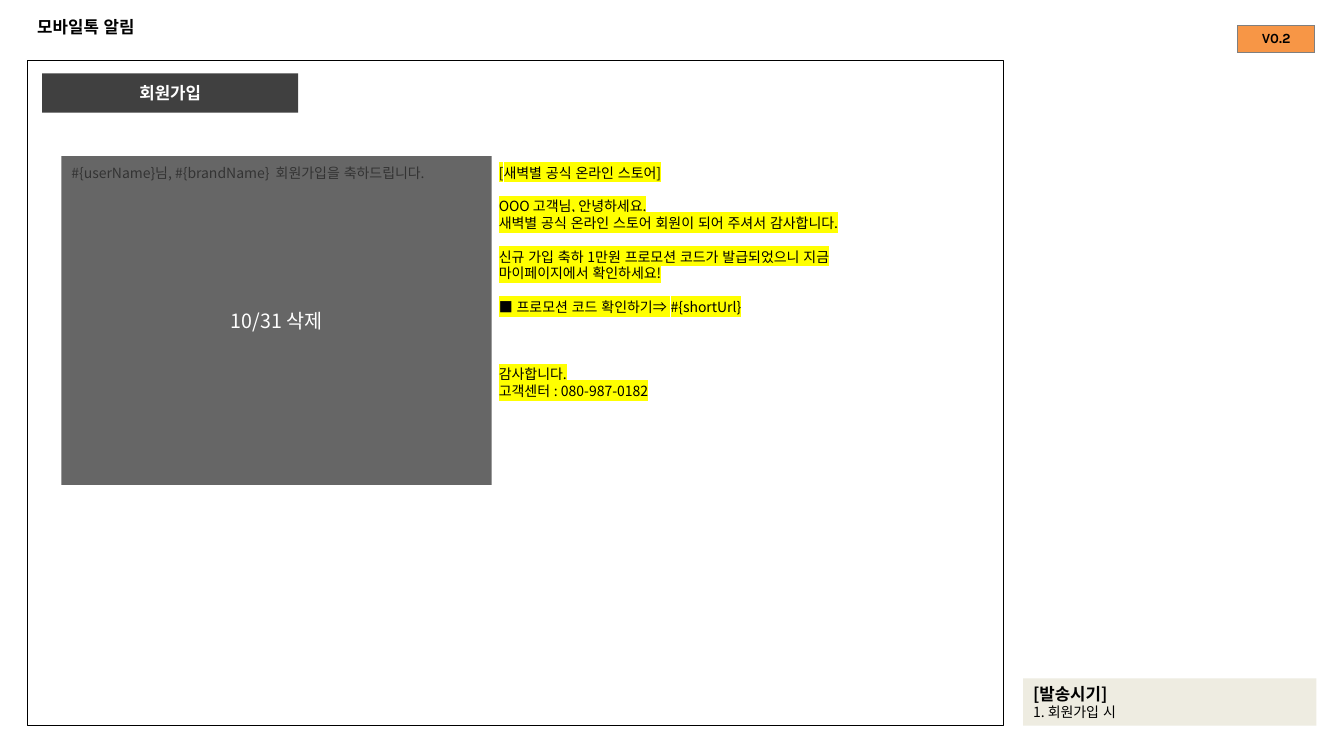
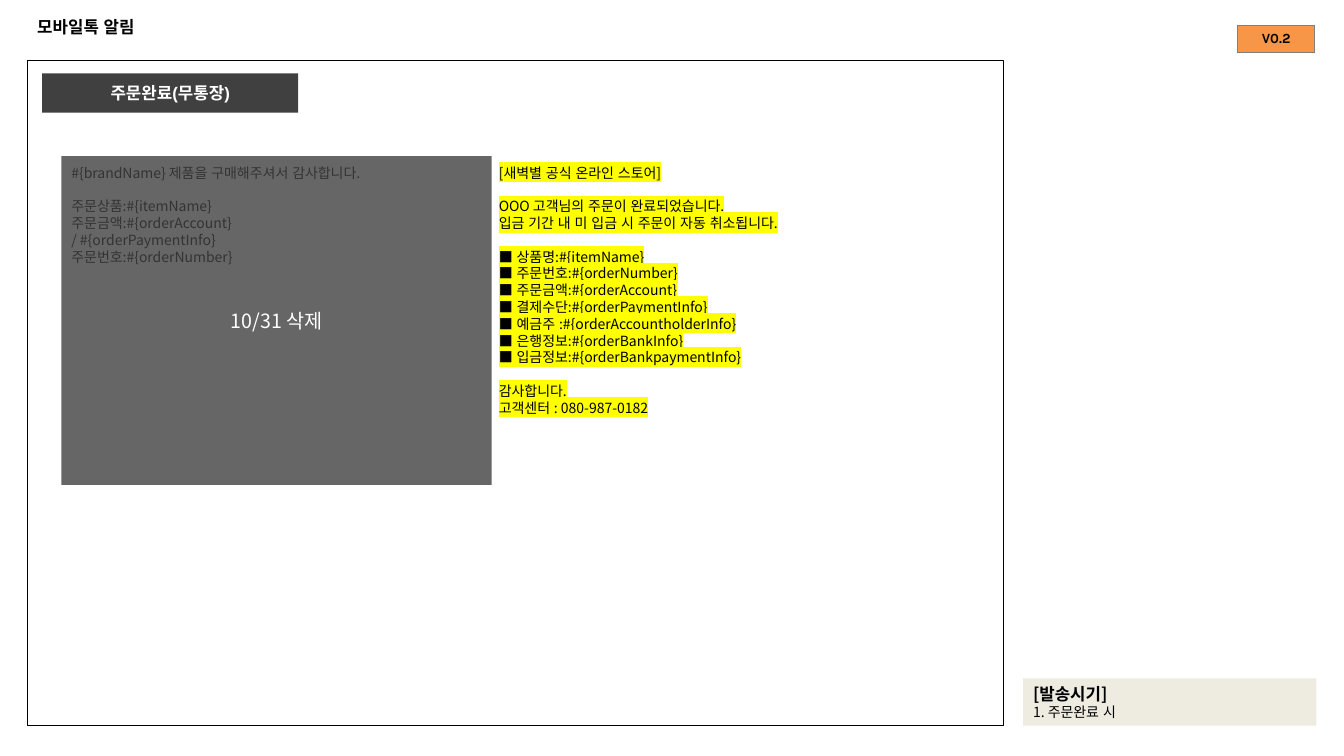
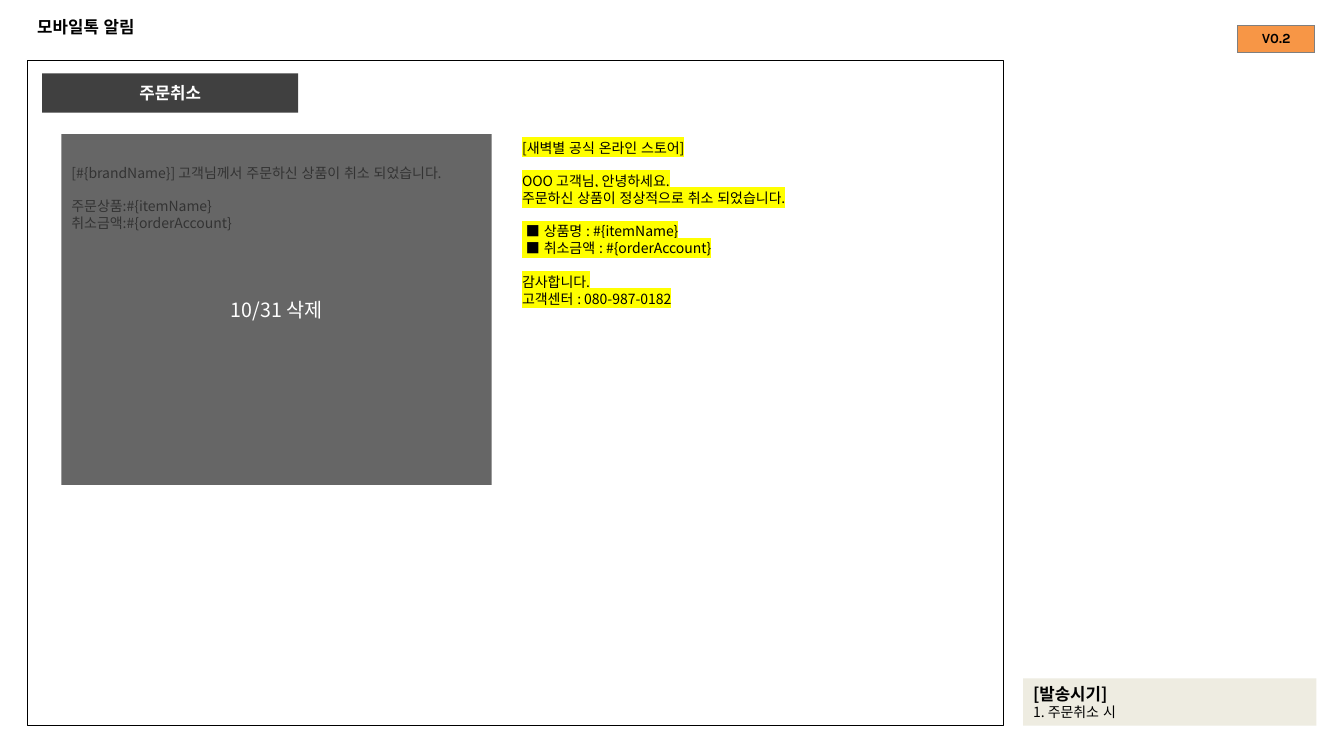
import collections
import dataclasses

import lxml.etree
import pptx
import pptx.dml.color
import pptx.enum.lang
import pptx.enum.shapes
import pptx.enum.text
import pptx.oxml.ns
import pptx.util

Pt = pptx.util.Pt
qualify = pptx.oxml.ns.qn
ALIGN = pptx.enum.text.PP_ALIGN
ANCHOR = pptx.enum.text.MSO_ANCHOR
RECTANGLE = pptx.enum.shapes.MSO_SHAPE.RECTANGLE

Box = collections.namedtuple("Box", "left top width height")


@dataclasses.dataclass(frozen=True)
class Theme:
    ink: str = "000000"
    paper: str = "FFFFFF"
    dark: str = "404040"
    note: str = "EEECE1"
    badge: str = "F79646"
    badge_border: str = "7F7F7F"
    marker: str = "FFFF00"
    heading_font: str = "Arial"
    body_font: str = "Noto Sans CJK KR"
    badge_font: str = "Karla"
    heading_size: int = 12
    body_size: int = 10
    stamp_size: int = 14
    line_factor: float = 1.2
    veil_opacity: int = 80
    inset: float = 3.6


THEME = Theme()
LINE = THEME.body_size * THEME.line_factor

HEADING = {"size": THEME.heading_size, "name": THEME.heading_font, "bold": True}
BODY = {"size": THEME.body_size, "name": THEME.body_font, "bold": False}
STAMP = {**BODY, "size": THEME.stamp_size}
NOTE_HEADING = {**HEADING, "name": THEME.body_font}
BADGE = {"size": THEME.body_size, "name": THEME.badge_font, "bold": True}

SLIDE_WIDTH, SLIDE_HEIGHT = 960, 540
TITLE_BOX = Box(19.4, 5, 921, 28)
FRAME_BOX = Box(19.4, 43.2, 697.7, 475.2)
BADGE_BOX = Box(884.2, 18.4, 54.7, 19.4)
NOTE_BOX = Box(730.8, 484.6, 209.5, 33.8)
MESSAGE_WIDTH = 296.6

TITLE = "모바일톡 알림"
STORE = "[새벽별 공식 온라인 스토어]"
CLOSING = ("감사합니다.", "고객센터 : 080-987-0182")


@dataclasses.dataclass(frozen=True)
class Notice:
    """One alert: draft and message hold groups of lines with a gap between them."""
    heading: str
    timing: str
    draft: tuple
    message: tuple
    closing_gap: int = 1
    veil: Box = Box(24.5, 68.4, 307.4, 234.7)
    message_at: tuple = (329.8, 70.6)


NOTICES = (
    Notice(
        heading="회원가입",
        timing="1. 회원가입 시",
        draft=(("#{userName}님, #{brandName}  회원가입을 축하드립니다.",),),
        message=(
            ("OOO 고객님, 안녕하세요.",
             "새벽별 공식 온라인 스토어 회원이 되어 주셔서 감사합니다."),
            ("신규 가입 축하 1만원 프로모션 코드가 발급되었으니 지금 마이페이지에서 확인하세요!",),
            ("■ 프로모션 코드 확인하기⇒ #{shortUrl}",),
        ),
        closing_gap=3,
    ),
    Notice(
        heading="주문완료(무통장)",
        timing="1. 주문완료 시",
        draft=(
            ("#{brandName} 제품을 구매해주셔서 감사합니다.",),
            ("주문상품:#{itemName}", "주문금액:#{orderAccount}",
             "/ #{orderPaymentInfo}", "주문번호:#{orderNumber}"),
        ),
        message=(
            ("OOO 고객님의 주문이 완료되었습니다.",
             "입금 기간 내 미 입금 시 주문이 자동 취소됩니다."),
            ("■ 상품명:#{itemName}", "■ 주문번호:#{orderNumber}",
             "■ 주문금액:#{orderAccount}", "■ 결제수단:#{orderPaymentInfo}",
             "■ 예금주 :#{orderAccountholderInfo}", "■ 은행정보:#{orderBankInfo}",
             "■ 입금정보:#{orderBankpaymentInfo}"),
        ),
    ),
    Notice(
        heading="주문취소",
        timing="1. 주문취소 시",
        draft=(
            ("[#{brandName}] 고객님께서 주문하신 상품이 취소 되었습니다.",),
            ("주문상품:#{itemName}", "취소금액:#{orderAccount}"),
        ),
        message=(
            ("OOO 고객님, 안녕하세요.", "주문하신 상품이 정상적으로 취소 되었습니다."),
            (" ■ 상품명 : #{itemName}", " ■ 취소금액 : #{orderAccount}"),
        ),
        veil=Box(24.5, 52.6, 307.4, 250.5),
        message_at=(346.4, 52.6),
    ),
)


def rgb(value):
    return pptx.dml.color.RGBColor.from_string(value)


def in_points(box):
    return [Pt(length) for length in box]


def inside(parent, left, top, width, height):
    return Box(parent.left + left, parent.top + top, width, height)


def add_color(parent, tag, color):
    element = lxml.etree.SubElement(parent, qualify(tag))
    lxml.etree.SubElement(element, qualify("a:srgbClr"), val=color)
    return element


def write(paragraph, text, style, color=THEME.ink, align=ALIGN.LEFT, marker=None):
    paragraph.alignment = align
    run = paragraph.add_run()
    run.text = text
    for name, value in style.items():
        setattr(run.font, name, Pt(value) if name == "size" else value)
    run.font.language_id = pptx.enum.lang.MSO_LANGUAGE_ID.KOREAN
    run.font.color.rgb = rgb(color)
    properties = run.font._element
    latin = properties.find(qualify("a:latin"))
    east_asian = lxml.etree.Element(qualify("a:ea"), typeface=THEME.body_font)
    latin.addnext(east_asian)
    if marker:
        latin.addprevious(add_color(properties, "a:highlight", marker))


def format_frame(text_frame, anchor=ANCHOR.TOP):
    settings = {
        "word_wrap": True,
        "auto_size": pptx.enum.text.MSO_AUTO_SIZE.NONE,
        "vertical_anchor": anchor,
        "margin_left": Pt(7.2), "margin_right": Pt(7.2),
        "margin_top": Pt(THEME.inset), "margin_bottom": Pt(THEME.inset),
    }
    for name, value in settings.items():
        setattr(text_frame, name, value)


def next_paragraph(text_frame):
    first = text_frame.paragraphs[0]
    return text_frame.add_paragraph() if first.runs else first


def add_rectangle(slide, box, fill=None, line=None):
    shape = slide.shapes.add_shape(RECTANGLE, *in_points(box))
    shape.shadow.inherit = False
    if fill:
        shape.fill.solid()
        shape.fill.fore_color.rgb = rgb(fill)
    else:
        shape.fill.background()
    if line:
        shape.line.color.rgb = rgb(line)
        shape.line.width = Pt(0.75)
    else:
        shape.line.fill.background()
    return shape


def add_label(slide, box, text, style):
    """Dark rectangle with centred light text."""
    shape = add_rectangle(slide, box, THEME.dark)
    format_frame(shape.text_frame, ANCHOR.MIDDLE)
    write(shape.text_frame.paragraphs[0], text, style, THEME.paper, ALIGN.CENTER)
    return shape


def add_message(slide, box, groups, gaps, marker=None):
    """Write groups of lines; gaps gives the empty lines above each group."""
    text_frame = slide.shapes.add_textbox(*in_points(box)).text_frame
    format_frame(text_frame)
    for group, gap in zip(groups, gaps):
        for index, line in enumerate(group):
            paragraph = next_paragraph(text_frame)
            paragraph.line_spacing = Pt(LINE)
            paragraph.space_before = Pt(0 if index else gap * LINE)
            write(paragraph, line, BODY, marker=marker)


def message_height(groups, gaps):
    return LINE * (sum(map(len, groups)) + sum(gaps)) + 2 * THEME.inset


def add_title(slide):
    title = slide.shapes.title
    for name, value in zip(TITLE_BOX._fields, in_points(TITLE_BOX)):
        setattr(title, name, value)
    format_frame(title.text_frame, ANCHOR.MIDDLE)
    write(title.text_frame.paragraphs[0], TITLE, HEADING)


def add_version_badge(slide, box):
    table = slide.shapes.add_table(1, 1, *in_points(box)).table
    table.first_row = table.horz_banding = False
    cell = table.cell(0, 0)
    for side in ("left", "right", "top", "bottom"):
        setattr(cell, "margin_" + side, 0)
    cell.vertical_anchor = ANCHOR.MIDDLE
    cell.fill.solid()
    cell.fill.fore_color.rgb = rgb(THEME.badge)
    write(cell.text_frame.paragraphs[0], "V0.2", BADGE, align=ALIGN.CENTER)
    properties = cell._tc.get_or_add_tcPr()
    for index, side in enumerate("LRTB"):
        border = lxml.etree.Element(qualify("a:ln" + side), w=str(Pt(1)))
        add_color(border, "a:solidFill", THEME.badge_border)
        properties.insert(index, border)


def add_comparison(slide, frame, notice):
    """Old draft under a dark veil, with the new message beside it."""
    draft_gaps = [0] + [1] * (len(notice.draft) - 1)
    draft_box = inside(frame, notice.veil.left, 70.6, MESSAGE_WIDTH,
                       message_height(notice.draft, draft_gaps))
    add_message(slide, draft_box, notice.draft, draft_gaps)

    groups = ((STORE,), *notice.message, CLOSING)
    gaps = [0] + [1] * len(notice.message) + [notice.closing_gap]
    message_box = inside(frame, *notice.message_at, MESSAGE_WIDTH,
                         message_height(groups, gaps))
    add_message(slide, message_box, groups, gaps, THEME.marker)

    veil = add_label(slide, inside(frame, *notice.veil), "10/31 삭제", STAMP)
    color = veil.fill._xPr.find(".//" + qualify("a:srgbClr"))
    lxml.etree.SubElement(color, qualify("a:alpha"), val=str(THEME.veil_opacity * 1000))


def add_timing_note(slide, box, timing):
    text_frame = add_rectangle(slide, box, THEME.note).text_frame
    format_frame(text_frame)
    for text, style in (("[발송시기]", NOTE_HEADING), (timing, BODY)):
        paragraph = next_paragraph(text_frame)
        paragraph.line_spacing = Pt(style["size"] * THEME.line_factor)
        write(paragraph, text, style)


def add_notice_slide(presentation, notice):
    slide = presentation.slides.add_slide(presentation.slide_layouts[5])
    add_rectangle(slide, FRAME_BOX, line=THEME.ink)
    add_title(slide)
    add_label(slide, inside(FRAME_BOX, 10.8, 9.2, 182.9, 28), notice.heading, HEADING)
    add_comparison(slide, FRAME_BOX, notice)
    add_version_badge(slide, BADGE_BOX)
    add_timing_note(slide, NOTE_BOX, notice.timing)


def main():
    presentation = pptx.Presentation()
    presentation.slide_width = Pt(SLIDE_WIDTH)
    presentation.slide_height = Pt(SLIDE_HEIGHT)
    for notice in NOTICES:
        add_notice_slide(presentation, notice)
    presentation.save("out.pptx")


if __name__ == "__main__":
    main()
